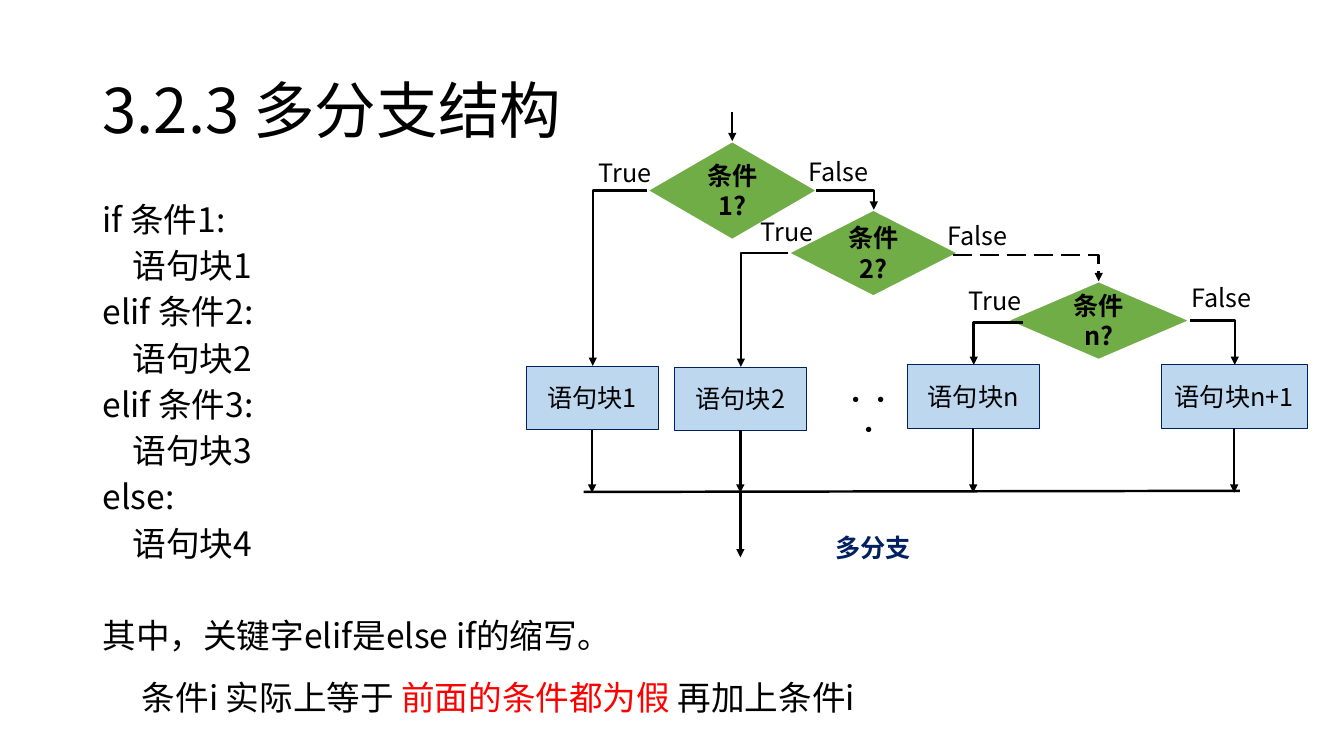
"""Build the slide on multi-branch selection with its flowchart."""
from dataclasses import dataclass

import lxml.etree
import pptx
import pptx.dml.color
import pptx.enum.dml
import pptx.enum.shapes
import pptx.enum.text
import pptx.oxml.ns
import pptx.util

Pt = pptx.util.Pt
RGBColor = pptx.dml.color.RGBColor
Preset = pptx.enum.shapes.MSO_SHAPE
Align = pptx.enum.text.PP_ALIGN
Anchor = pptx.enum.text.MSO_ANCHOR
qn = pptx.oxml.ns.qn

FONT = "Noto Sans CJK SC"
BLACK = RGBColor(0x00, 0x00, 0x00)
WHITE = RGBColor(0xFF, 0xFF, 0xFF)
RED = RGBColor(0xFF, 0x00, 0x00)
NAVY = RGBColor(0x00, 0x20, 0x60)
GREEN = RGBColor(0x70, 0xAD, 0x47)
PALE_BLUE = RGBColor(0xBD, 0xD7, 0xEE)


@dataclass(frozen=True)
class Node:
    text: str
    left: float
    top: float
    width: float
    height: float


@dataclass(frozen=True)
class Elbow:
    start: tuple[float, float]
    end: tuple[float, float]
    dashed: bool = False


@dataclass(frozen=True)
class Label:
    text: str
    left: float
    top: float
    width: float = 59
    bold: bool = False
    color: RGBColor = BLACK
    align: Align = Align.LEFT


CONDITIONS = [
    Node("条件1?", 462.2, 100.8, 121.7, 70.6),
    Node("条件2?", 563, 149.8, 121.7, 61.9),
    Node("条件n?", 719.3, 200.9, 131, 56.2),
]
BLOCKS = [
    Node("语句块1", 375.8, 261.4, 94.3, 45.4),
    Node("语句块2", 481.7, 262.1, 94.3, 45.4),
    Node("语句块n", 648, 260.6, 94.3, 45.4),
    Node("语句块n+1", 829.4, 260.6, 104.4, 45.4),
]
BRANCHES = [
    Elbow((462.2, 136.1), (423.4, 261.4)),
    Elbow((583.2, 136.1), (624.2, 149.8)),
    Elbow((563, 180.7), (529.2, 262.1)),
    Elbow((680.4, 182.2), (784.8, 200.9), dashed=True),
    Elbow((730.8, 230.4), (695.5, 260.6)),
    Elbow((850.3, 229), (882, 260.6)),
]
LABELS = [
    Label("True", 420.5, 108.7),
    Label("False", 570.2, 108),
    Label("True", 536.4, 151.2),
    Label("False", 669.6, 154.1),
    Label("True", 684.7, 200.2),
    Label("False", 843.8, 198),
    Label("•••", 591.1, 270.7, align=Align.CENTER),
    Label("多分支", 577.4, 376.6, 92.2, True, NAVY, Align.CENTER),
]
CODE = [
    ("if 条件1:", "语句块1"),
    ("elif 条件2:", "语句块2"),
    ("elif 条件3:", "语句块3"),
    ("else:", "语句块4"),
]
MERGE_Y = 352


def add_run(paragraph, text: str, *, size: float = 18, color: RGBColor = BLACK,
            bold: bool = False) -> None:
    run = paragraph.add_run()
    run.text = text
    run.font.size = Pt(size)
    run.font.bold = bold
    run.font.color.rgb = color
    run.font.name = FONT
    east_asian = lxml.etree.SubElement(run.font._element, qn("a:ea"))
    east_asian.set("typeface", FONT)


def add_text_frame(slide, left: float, top: float, width: float, height: float):
    frame = slide.shapes.add_textbox(Pt(left), Pt(top), Pt(width), Pt(height)).text_frame
    frame.word_wrap = True
    return frame


def add_node(slide, node: Node, preset: Preset, fill: RGBColor, line: RGBColor,
             line_width: float, bold: bool):
    shape = slide.shapes.add_shape(
        preset, Pt(node.left), Pt(node.top), Pt(node.width), Pt(node.height))
    shape.shadow.inherit = False
    shape.fill.solid()
    shape.fill.fore_color.rgb = fill
    shape.line.color.rgb = line
    shape.line.width = Pt(line_width)
    frame = shape.text_frame
    frame.word_wrap = True
    frame.vertical_anchor = Anchor.MIDDLE
    frame.paragraphs[0].alignment = Align.CENTER
    add_run(frame.paragraphs[0], node.text, bold=bold)
    return shape


def add_line(slide, start: tuple[float, float], end: tuple[float, float], *,
             arrow: bool = True, elbow: bool = False, dashed: bool = False):
    kinds = pptx.enum.shapes.MSO_CONNECTOR
    connector = slide.shapes.add_connector(
        kinds.ELBOW if elbow else kinds.STRAIGHT,
        Pt(start[0]), Pt(start[1]), Pt(end[0]), Pt(end[1]))
    connector.line.color.rgb = BLACK
    connector.line.width = Pt(1.75)
    if dashed:
        connector.line.dash_style = pptx.enum.dml.MSO_LINE.LONG_DASH
    properties = connector._element.spPr
    if arrow:
        lxml.etree.SubElement(properties.find(qn("a:ln")), qn("a:tailEnd"), type="triangle")
    lxml.etree.SubElement(properties, qn("a:effectLst"))
    if elbow:
        properties.find(qn("a:prstGeom")).set("prst", "bentConnector2")
        transform = properties.find(qn("a:xfrm"))
        if transform.attrib.pop("flipH", None):
            transform.set("rot", "10800000")
            transform.set("flipV", "1")
    return connector


def add_body(slide) -> None:
    frame = add_text_frame(slide, 66.2, 144, 828, 342.7)
    rows = [(text, level, 10) for pair in CODE for level, text in enumerate(pair)]
    rows.append(("其中，关键字elif是else if的缩写。", 0, 43))
    for index, (text, level, space) in enumerate(rows):
        paragraph = frame.add_paragraph() if index else frame.paragraphs[0]
        paragraph.line_spacing = 0.8
        paragraph.space_before = Pt(space)
        paragraph._p.get_or_add_pPr().set("marL", str(Pt(21.6 * level)))
        add_run(paragraph, text, size=24)


def add_flowchart(slide) -> None:
    conditions = [add_node(slide, node, Preset.FLOWCHART_DECISION, GREEN, WHITE, 1.5, True)
                  for node in CONDITIONS]
    entry_x = CONDITIONS[0].left + CONDITIONS[0].width / 2
    entry = add_line(slide, (entry_x, 79.9), (entry_x, CONDITIONS[0].top))
    entry.end_connect(conditions[0], 0)
    for node in BLOCKS:
        block = add_node(slide, node, Preset.FLOWCHART_PROCESS, PALE_BLUE, NAVY, 0.5, False)
        middle = node.left + node.width / 2
        outlet = add_line(slide, (middle, node.top + node.height), (middle, MERGE_Y))
        outlet.begin_connect(block, 2)
    for branch in BRANCHES:
        add_line(slide, branch.start, branch.end, elbow=True, dashed=branch.dashed)
    add_line(slide, (416.9, 351.4), (885.6, 350.6), arrow=False)
    exit_x = BLOCKS[1].left + BLOCKS[1].width / 2
    add_line(slide, (exit_x, MERGE_Y), (exit_x, 398.2))
    for label in LABELS:
        paragraph = add_text_frame(
            slide, label.left, label.top, label.width, 28.8).paragraphs[0]
        paragraph.alignment = label.align
        add_run(paragraph, label.text, color=label.color, bold=label.bold)


def main() -> None:
    presentation = pptx.Presentation()
    presentation.slide_width = Pt(960)
    presentation.slide_height = Pt(540)
    slide = presentation.slides.add_slide(presentation.slide_layouts[6])
    title = add_text_frame(slide, 66.2, 28.8, 828, 104.4)
    title.vertical_anchor = Anchor.MIDDLE
    title.paragraphs[0].line_spacing = 0.9
    add_run(title.paragraphs[0], "3.2.3 多分支结构", size=44)
    add_body(slide)
    add_flowchart(slide)
    remark = add_text_frame(slide, 94.3, 480.2, 583.2, 36).paragraphs[0]
    add_run(remark, "条件i 实际上等于 ", size=24)
    add_run(remark, "前面的条件都为假", size=24, color=RED)
    add_run(remark, " 再加上条件i", size=24)
    presentation.save("out.pptx")


if __name__ == "__main__":
    main()
